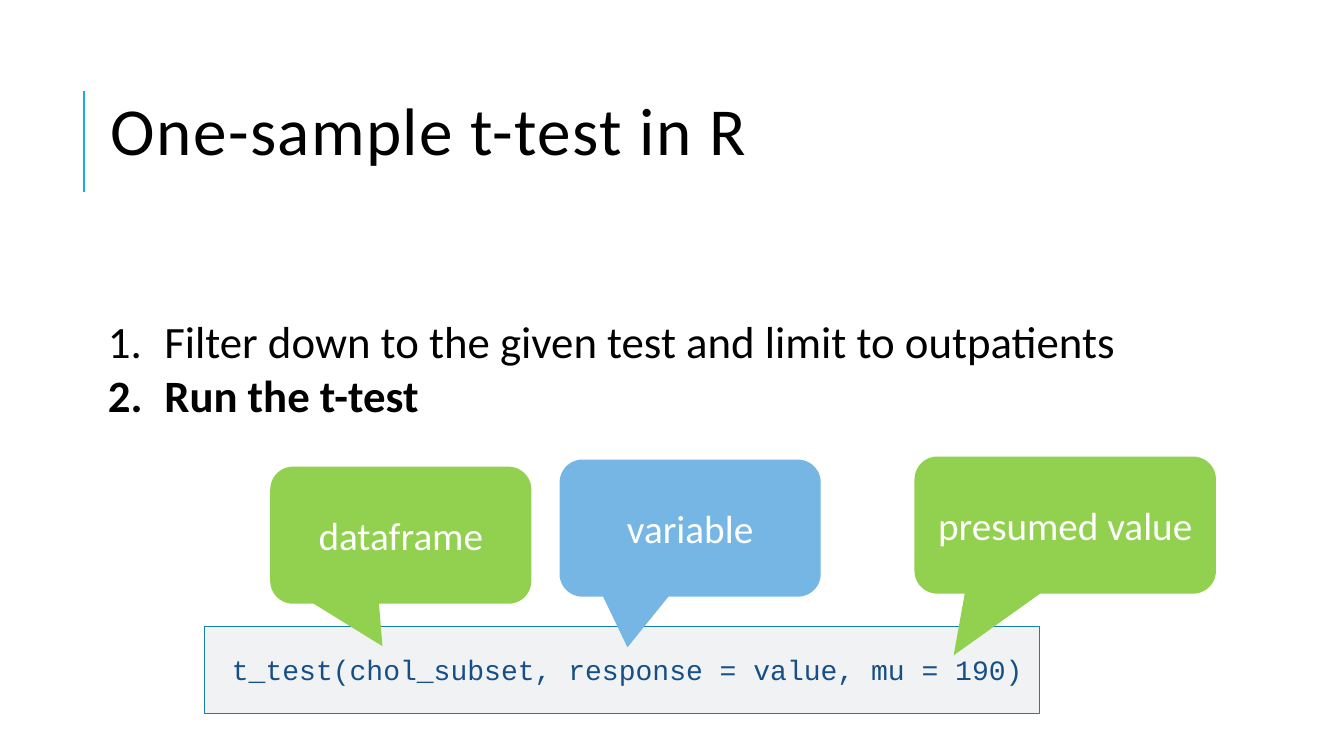
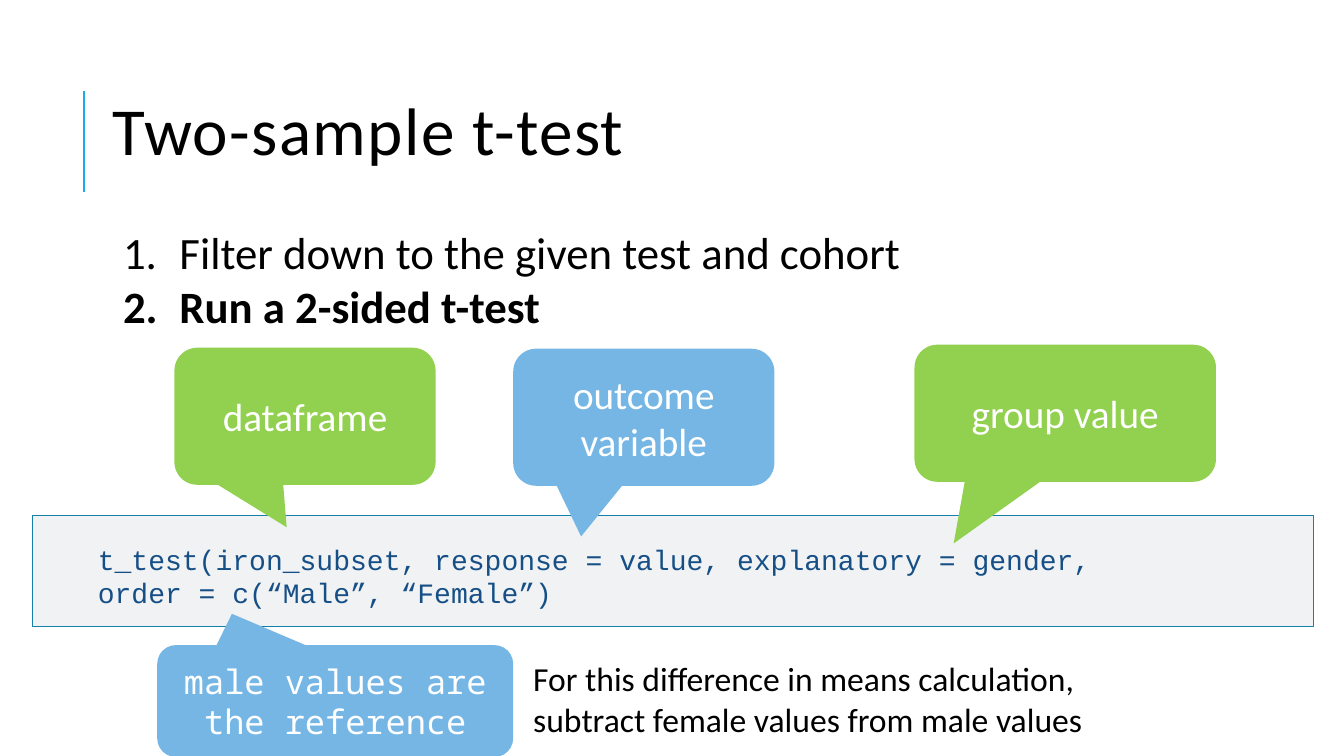
from pptx import Presentation
from pptx import util as u
from pptx.dml import color
from pptx.enum import shapes, text
from pptx.oxml import ns, xmlchemy

HUES = {
    "ink": "000000", "white": "FFFFFF", "rule": "1CADE4", "panel": "F0F2F4",
    "edge": "1580A9", "code": "164F86", "green": "92D050", "blue": "75B6E5",
}
FONTS = {
    "title": {"name": "Calibri", "size": u.Pt(48), "hue": "ink"},
    "list": {"name": "Calibri", "size": u.Pt(32), "hue": "ink"},
    "note": {"name": "Calibri", "size": u.Pt(24), "hue": "ink"},
    "label": {"name": "Calibri", "size": u.Pt(28), "hue": "white"},
    "mono": {"name": "Noto Sans Mono", "size": u.Pt(24), "hue": "white"},
    "code": {"name": "Courier New", "size": u.Pt(20), "hue": "code"},
}
CALLS = {
    "data": {"size": (2.59, 1.36), "tip": (-0.07, 0.81), "fill": "green", "font": "label"},
    "reply": {"size": (2.59, 1.36), "tip": (-0.24, 0.87), "fill": "blue", "font": "label"},
    "value": {"size": (2.99, 1.36), "tip": (-0.37, 0.95), "fill": "green", "font": "label"},
    "base": {"size": (3.53, 1.11), "tip": (-0.29, -0.78), "fill": "blue", "font": "mono"},
}
FRAME = {
    "word_wrap": True,
    "auto_size": text.MSO_AUTO_SIZE.NONE,
    "vertical_anchor": text.MSO_ANCHOR.TOP,
}
PLAIN = {"space_before": u.Pt(0), "alignment": text.PP_ALIGN.LEFT}
MID = {"vertical_anchor": text.MSO_ANCHOR.MIDDLE}
SIDES = ("margin_left", "margin_top", "margin_right", "margin_bottom")


def rgb(hue):
    return color.RGBColor.from_string(HUES[hue])


def apply(item, vals):
    for key, val in vals.items():
        setattr(item, key, val)


def place(item, box):
    apply(item, dict(zip(("left", "top", "width", "height"), map(u.Inches, box))))


def tag(parent, name, **attrs):
    node = xmlchemy.OxmlElement(name)
    for key, val in attrs.items():
        node.set(key, val)
    parent.append(node)


def write(item, lines, font, frame=None, para=None):
    body = item.text_frame
    apply(body, {**FRAME, **(frame or {})})
    body.text = "\n".join(lines)
    style = dict(FONTS[font])
    hue = style.pop("hue")
    for part in body.paragraphs:
        apply(part, {**PLAIN, **(para or {})})
        for run in part.runs:
            apply(run.font, style)
            run.font.color.rgb = rgb(hue)


def head(slide, words, left):
    rule = slide.shapes.add_connector(
        shapes.MSO_CONNECTOR.STRAIGHT, *map(u.Inches, (0.83, 1.9, 0.83, 0.9)))
    rule.line.color.rgb = rgb("rule")
    rule.line.width = u.Pt(1.5)
    tag(rule.element.spPr, "a:effectLst")
    title = slide.shapes.title
    place(title, (left, 1.03, 6.34, 0.85))
    write(title, [words], "title", dict.fromkeys(SIDES, 0), {"line_spacing": 0.8})
    for node in title.element.iter(ns.qn("a:rPr")):
        node.set("spc", "100")


def steps(slide, lines, left, top):
    body = slide.placeholders[1]
    place(body, (left, top, 12.05, 1.18))
    write(body, lines, "list")
    dent = u.Inches(0.56)
    for node in body.element.iter(ns.qn("a:pPr")):
        node.set("marL", str(dent))
        node.set("indent", str(-dent))
        tag(node, "a:buFont", typeface="+mj-lt")
        tag(node, "a:buAutoNum", type="arabicPeriod")
    body.text_frame.paragraphs[-1].runs[0].font.bold = True


def block(slide, kind, box, fill):
    item = slide.shapes.add_shape(kind, *map(u.Inches, box))
    item.shadow.inherit = False
    item.fill.solid()
    item.fill.fore_color.rgb = rgb(fill)
    return item


def code(slide, lines, box, pad):
    panel = block(slide, shapes.MSO_SHAPE.RECTANGLE, box, "panel")
    panel.line.color.rgb = rgb("edge")
    panel.line.width = u.Pt(0.75)
    write(panel, lines, "code", dict(zip(SIDES, map(u.Inches, pad))))


def call(slide, kind, words, left, top):
    look = CALLS[kind]
    item = block(slide, shapes.MSO_SHAPE.ROUNDED_RECTANGULAR_CALLOUT,
                 (left, top, *look["size"]), look["fill"])
    item.line.fill.background()
    for spot, val in enumerate(look["tip"]):
        item.adjustments[spot] = val
    write(item, [words], look["font"], MID, {"alignment": text.PP_ALIGN.CENTER})


def note(slide, words, box):
    write(slide.shapes.add_textbox(*map(u.Inches, box)), [words], "note")


def main():
    deck = Presentation()
    deck.slide_width, deck.slide_height = u.Inches(13.33), u.Inches(7.5)
    layout = deck.slide_layouts[1]

    one = deck.slides.add_slide(layout)
    head(one, "One-sample t-test in R", 1.1)
    steps(one, ["Filter down to the given test and limit to outpatients",
                "Run the t-test"], 0.97, 3.06)
    code(one, ["t_test(chol_subset, response = value, mu = 190)"],
         (2.03, 6.22, 8.28, 0.86), (0.27, 0.25, 0.1, 0.05))
    call(one, "data", "dataframe", 2.68, 4.63)
    call(one, "reply", "variable", 5.55, 4.56)
    call(one, "value", "presumed value", 9.07, 4.53)

    two = deck.slides.add_slide(layout)
    head(two, "Two-sample t-test", 1.12)
    steps(two, ["Filter down to the given test and cohort",
                "Run a 2-sided t-test"], 1.12, 2.18)
    code(two, ["t_test(iron_subset, response = value, explanatory = gender,",
               "order = c(“Male”, “Female”)"],
         (0.32, 5.11, 12.71, 1.11), (0.65, 0.27, 0.1, 0.05))
    call(two, "data", "dataframe", 1.73, 3.45)
    call(two, "reply", "outcome variable", 5.09, 3.46)
    call(two, "value", "group value", 9.07, 3.42)
    call(two, "base", "male values are the reference", 1.56, 6.4)
    note(two, "For this difference in means calculation, "
              "subtract female values from male values", (5.19, 6.48, 6.1, 0.91))

    deck.save("out.pptx")


if __name__ == "__main__":
    main()
